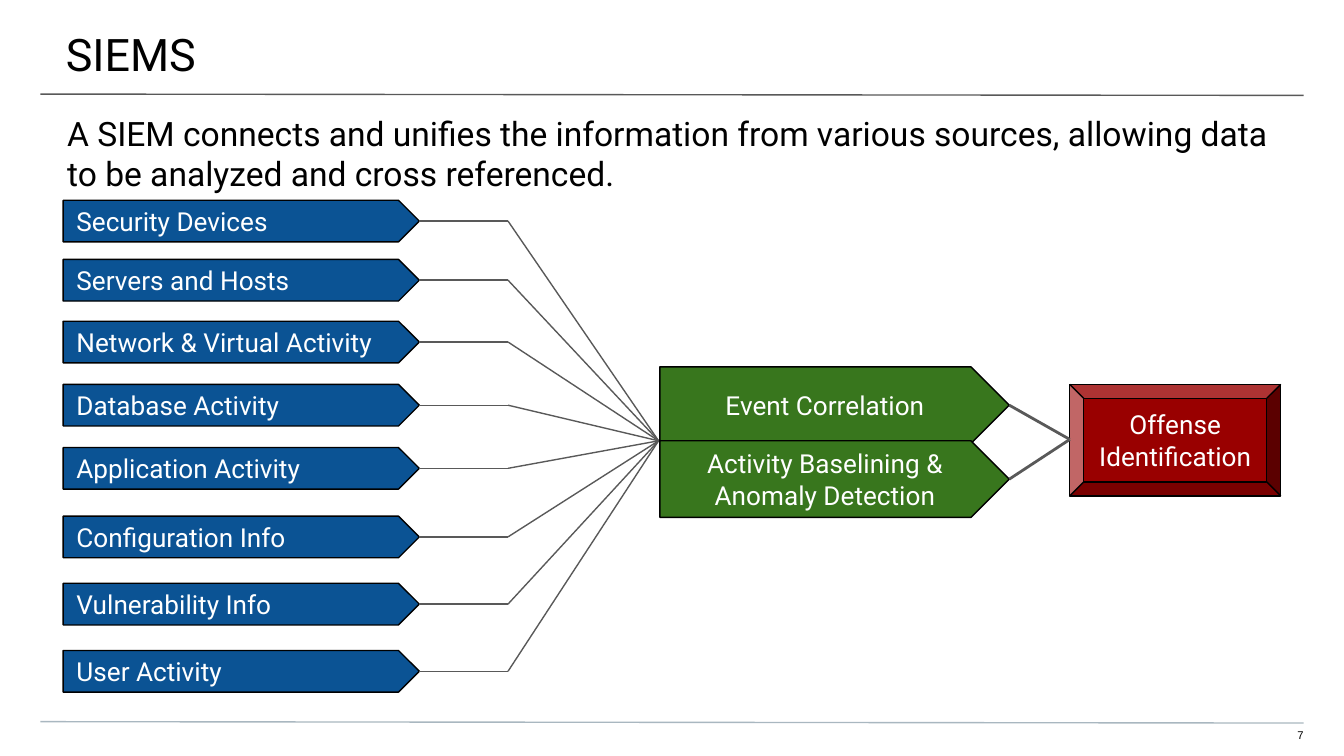
"""Build the SIEM slide: sources feeding correlation and offense identification."""
from typing import NamedTuple

import pptx
import pptx.dml.color
import pptx.enum.shapes
import pptx.enum.text
import pptx.oxml
import pptx.oxml.ns
import pptx.util
from pptx.util import Inches

SHAPE = pptx.enum.shapes.MSO_SHAPE
ALIGN = pptx.enum.text.PP_ALIGN
ANCHOR = pptx.enum.text.MSO_ANCHOR
GRAY = "595959"
BLUE = "0B5394"
GREEN = "38761D"
RED = "990000"
SLIDE_WIDTH = 10
SLIDE_HEIGHT = SLIDE_WIDTH * 9 / 16
TAG_LEFT, TAG_WIDTH, TAG_HEIGHT = 0.47, 2.65, 0.31
BEND_X = 3.78
HUB = (4.9, 3.28)
OFFENSE_ENTRY = (7.96, 3.27)


class Block(NamedTuple):
    """A filled, outlined shape with a label."""
    text: str
    left: float
    top: float
    width: float
    height: float
    fill: str
    kind: int = SHAPE.PENTAGON
    align: int = ALIGN.CENTER


class Source(NamedTuple):
    """An information source and the top of its tag."""
    name: str
    top: float


SOURCES = [
    Source("Security Devices", 1.49),
    Source("Servers and Hosts", 1.93),
    Source("Network & Virtual Activity", 2.39),
    Source("Database Activity", 2.86),
    Source("Application Activity", 3.33),
    Source("Configuration Info", 3.84),
    Source("Vulnerability Info", 4.34),
    Source("User Activity", 4.84),
]
ANALYSES = [
    Block("Event Correlation", 4.91, 2.73, 2.6, 0.57, GREEN),
    Block("Activity Baselining &\nAnomaly Detection", 4.91, 3.28, 2.6, 0.57, GREEN),
]
OFFENSE = Block("Offense Identification", 7.96, 2.86, 1.57, 0.83, RED, SHAPE.BEVEL)


def color(value: str) -> pptx.dml.color.RGBColor:
    """Turn a hex string into a colour."""
    return pptx.dml.color.RGBColor.from_string(value)


def write(box, text: str, size: float, ink: str = "000000", font: str = "Roboto",
          align: int = ALIGN.LEFT, anchor: int = ANCHOR.TOP,
          insets: tuple = (0.1, 0.1, 0.1, 0.1)) -> None:
    """Fill a shape with formatted text."""
    frame = box.text_frame
    frame.text = text
    frame.word_wrap = True
    frame.auto_size = pptx.enum.text.MSO_AUTO_SIZE.NONE
    frame.vertical_anchor = anchor
    (frame.margin_left, frame.margin_top,
     frame.margin_right, frame.margin_bottom) = map(Inches, insets)
    for para in frame.paragraphs:
        para.alignment = align
        for span in para.runs:
            span.font.size = pptx.util.Pt(size)
            span.font.name = font
            span.font.color.rgb = color(ink)


def add_text(page, left: float, top: float, width: float, height: float,
             text: str, size: float, **style) -> None:
    """Add a text box."""
    box = page.shapes.add_textbox(*map(Inches, (left, top, width, height)))
    write(box, text, size, **style)


def add_block(page, block: Block) -> None:
    """Draw one labelled shape."""
    place = map(Inches, (block.left, block.top, block.width, block.height))
    shape = page.shapes.add_shape(block.kind, *place)
    shape.shadow.inherit = False
    shape.fill.solid()
    shape.fill.fore_color.rgb = color(block.fill)
    shape.line.color.rgb = color("000000")
    shape.line.width = pptx.util.Pt(0.75)
    write(shape, block.text, 14, "FFFFFF", align=block.align, anchor=ANCHOR.MIDDLE)


def add_line(page, start: tuple, end: tuple, ink: str = GRAY, width: float = 0.75) -> None:
    """Draw one straight line."""
    line = page.shapes.add_connector(pptx.enum.shapes.MSO_CONNECTOR.STRAIGHT,
                                     *map(Inches, start + end))
    line.line.color.rgb = color(ink)
    line.line.width = pptx.util.Pt(width)
    properties = line.element.find(pptx.oxml.ns.qn("p:spPr"))
    properties.append(pptx.oxml.parse_xml(
        f"<a:effectLst {pptx.oxml.ns.nsdecls('a')}/>"))


def main() -> None:
    """Build and save the deck."""
    deck = pptx.Presentation()
    deck.slide_width, deck.slide_height = Inches(SLIDE_WIDTH), Inches(SLIDE_HEIGHT)
    page = deck.slides.add_slide(deck.slide_layouts.get_by_name("Title Only"))

    add_line(page, (0.3, 0.7), (9.7, 0.71))
    add_line(page, (0.3, 5.37), (9.7, 5.38), "A9B7C0")
    title = page.shapes.title
    title.left, title.top = Inches(-0.01), Inches(0)
    title.width, title.height = Inches(10.03), Inches(0.58)
    write(title, "SIEMS", 24, insets=(0.5, 0.2, 0.3, 0.1))
    add_text(page, 0, 0.74, 10, 0.72,
             "A SIEM connects and unifies the information from various sources, "
             "allowing data to be analyzed and cross referenced.",
             18, insets=(0.5, 0.1, 0.5, 0))
    add_text(page, 9.41, 5.42, 0.29, 0.12, "7", 6, font="Arial",
             align=ALIGN.RIGHT, insets=(0, 0, 0, 0.1))

    for source in SOURCES:
        add_block(page, Block(source.name, TAG_LEFT, source.top, TAG_WIDTH,
                              TAG_HEIGHT, BLUE, align=ALIGN.LEFT))
        middle = source.top + TAG_HEIGHT / 2
        add_line(page, (TAG_LEFT + TAG_WIDTH, middle), (BEND_X, middle))
        add_line(page, (BEND_X, middle), HUB)

    for block in ANALYSES + [OFFENSE]:
        add_block(page, block)
    for block in ANALYSES:
        tip = (block.left + block.width, block.top + block.height / 2)
        add_line(page, tip, OFFENSE_ENTRY, width=1.5)

    deck.save("out.pptx")


if __name__ == "__main__":
    main()
